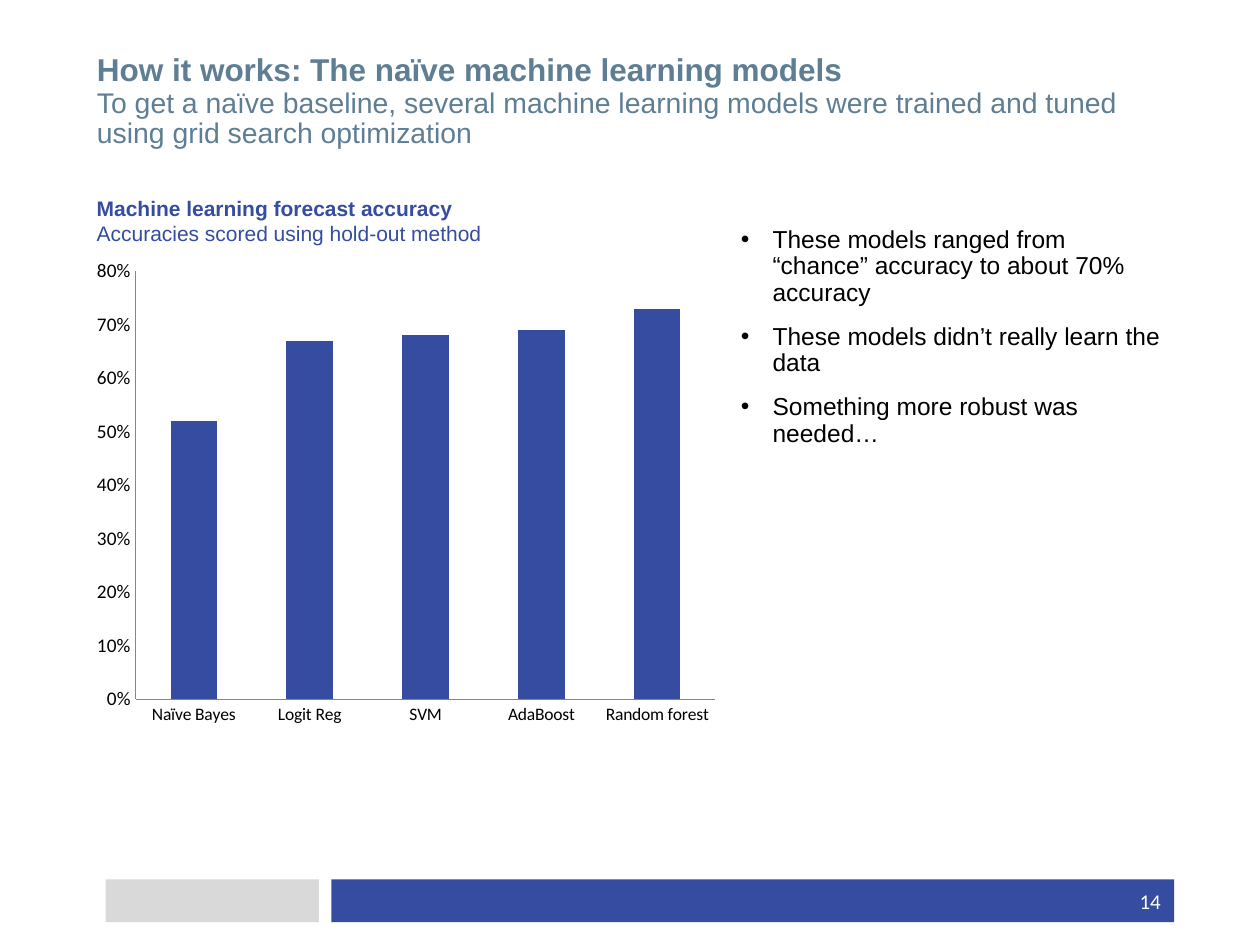
from lxml.etree import SubElement
from pptx import Presentation
from pptx.chart.data import CategoryChartData
from pptx.dml.color import RGBColor
from pptx.enum.chart import XL_CHART_TYPE, XL_TICK_MARK
from pptx.enum.shapes import MSO_SHAPE
from pptx.enum.text import MSO_ANCHOR, MSO_AUTO_SIZE, PP_ALIGN
from pptx.oxml import parse_xml
from pptx.oxml.ns import nsdecls, qn
from pptx.util import Cm, Pt

BLUE = RGBColor(0x35, 0x4C, 0xA1)
SLATE = RGBColor(0x5E, 0x7E, 0x94)
PALE_GREY = RGBColor(0xD9, 0xD9, 0xD9)
GREY = RGBColor(0x86, 0x86, 0x86)
BLACK = RGBColor(0x00, 0x00, 0x00)
WHITE = RGBColor(0xFF, 0xFF, 0xFF)

ACCURACIES = {
    "Naïve Bayes": 0.52,
    "Logit Reg": 0.67,
    "SVM": 0.68,
    "AdaBoost": 0.69,
    "Random forest": 0.73,
}
FINDINGS = [
    "These models ranged from “chance” accuracy to about 70% accuracy",
    "These models didn’t really learn the data",
    "Something more robust was needed…",
]


def set_values(target, values):
    for name, value in values.items():
        setattr(target, name, value)


def format_font(font, color, size, name="Arial", bold=False):
    set_values(font, {"size": Pt(size), "name": name, "bold": bold})
    font.color.rgb = color


def add_run(paragraph, text, color, size, **font_values):
    run = paragraph.add_run()
    run.text = text
    format_font(run.font, color, size, **font_values)


def place(shape, left, top, width, height):
    set_values(shape, {"left": Cm(left), "top": Cm(top),
                       "width": Cm(width), "height": Cm(height)})


def add_text_box(slide, left, top, width, height, anchor=MSO_ANCHOR.TOP):
    box = slide.shapes.add_textbox(Cm(left), Cm(top), Cm(width), Cm(height))
    set_values(box.text_frame, {"word_wrap": True, "vertical_anchor": anchor})
    return box.text_frame


def add_rectangle(slide, left, top, width, height, color):
    rectangle = slide.shapes.add_shape(
        MSO_SHAPE.RECTANGLE, Cm(left), Cm(top), Cm(width), Cm(height))
    rectangle.shadow.inherit = False
    rectangle.fill.solid()
    rectangle.fill.fore_color.rgb = color
    rectangle.line.fill.background()


def add_footer(slide):
    add_rectangle(slide, 2.13, 17.73, 4.3, 0.86, PALE_GREY)
    add_rectangle(slide, 6.68, 17.73, 16.99, 0.86, BLUE)
    number = add_text_box(
        slide, 17.93, 17.65, 5.72, 1.02, MSO_ANCHOR.MIDDLE).paragraphs[0]
    number.alignment = PP_ALIGN.RIGHT
    add_run(number, "14", WHITE, 12, name="Calibri")


def fill_title(title):
    place(title, 1.7, 0.91, 21.97, 2.24)
    set_values(title.text_frame, {"vertical_anchor": MSO_ANCHOR.BOTTOM,
                                  "auto_size": MSO_AUTO_SIZE.NONE})
    paragraph = title.text_frame.paragraphs[0]
    set_values(paragraph, {"alignment": PP_ALIGN.LEFT, "line_spacing": 0.9})
    add_run(paragraph, "How it works: The naïve machine learning models",
            SLATE, 18, bold=True)
    paragraph.add_line_break()
    add_run(paragraph, "To get a naïve baseline, several machine learning models "
            "were trained and tuned using grid search optimization", SLATE, 16.2)


def fill_list(body, items):
    place(body, 14.68, 4.45, 8.97, 12.7)
    frame = body.text_frame
    frame.auto_size = MSO_AUTO_SIZE.NONE
    for index, item in enumerate(items):
        paragraph = frame.add_paragraph() if index else frame.paragraphs[0]
        properties = paragraph._p.get_or_add_pPr()
        properties.set("marL", str(Cm(0.64)))
        properties.set("indent", str(-Cm(0.64)))
        SubElement(properties, qn("a:buFont")).set("typeface", "Arial")
        SubElement(properties, qn("a:buChar")).set("char", "•")
        set_values(paragraph, {"line_spacing": 0.9,
                               "space_before": Pt(10 if index else 0)})
        add_run(paragraph, item, BLACK, 14)


def add_chart_heading(slide):
    frame = add_text_box(slide, 1.7, 3.81, 12.45, 1.27)
    add_run(frame.paragraphs[0], "Machine learning forecast accuracy",
            BLUE, 12, bold=True)
    add_run(frame.add_paragraph(), "Accuracies scored using hold-out method",
            BLUE, 12)


def format_axis(axis, size):
    set_values(axis, {"major_tick_mark": XL_TICK_MARK.NONE,
                      "minor_tick_mark": XL_TICK_MARK.NONE,
                      "has_major_gridlines": False})
    format_font(axis.tick_labels.font, BLACK, size, name="Calibri")
    axis.format.line.color.rgb = GREY
    axis.format.line.width = Pt(0.75)


def set_plot_area(chart, left, top, width, height):
    plot_area = chart._chartSpace.chart.plotArea
    for layout in plot_area.findall(qn("c:layout")):
        plot_area.remove(layout)
    plot_area.insert(0, parse_xml(
        f'<c:layout {nsdecls("c")}><c:manualLayout>'
        '<c:layoutTarget val="inner"/><c:xMode val="edge"/><c:yMode val="edge"/>'
        f'<c:x val="{left}"/><c:y val="{top}"/>'
        f'<c:w val="{width}"/><c:h val="{height}"/>'
        '</c:manualLayout></c:layout>'))


def add_accuracy_chart(slide):
    data = CategoryChartData(number_format="0%")
    data.categories = list(ACCURACIES)
    data.add_series("Series 1", list(ACCURACIES.values()))
    chart = slide.shapes.add_chart(
        XL_CHART_TYPE.COLUMN_CLUSTERED,
        Cm(1.7), Cm(5.08), Cm(12.98), Cm(9.7), data).chart
    set_values(chart, {"has_legend": False, "has_title": False})
    format_font(chart.font, BLACK, 18, name="Calibri")
    set_plot_area(chart, 0.08, 0.04, 0.9, 0.89)

    plot = chart.plots[0]
    set_values(plot, {"gap_width": 150, "vary_by_categories": False})
    fill = plot.series[0].format.fill
    fill.solid()
    fill.fore_color.rgb = BLUE

    format_axis(chart.category_axis, 10)
    format_axis(chart.value_axis, 11)
    set_values(chart.value_axis, {"minimum_scale": 0, "maximum_scale": 0.8,
                                  "major_unit": 0.1})
    set_values(chart.value_axis.tick_labels, {"number_format": "0%",
                                              "number_format_is_linked": False})


def main():
    presentation = Presentation()
    set_values(presentation, {"slide_width": Cm(25.4), "slide_height": Cm(19.05)})
    slide = presentation.slides.add_slide(presentation.slide_layouts[1])
    add_footer(slide)
    fill_title(slide.shapes.title)
    fill_list(slide.placeholders[1], FINDINGS)
    add_accuracy_chart(slide)
    add_chart_heading(slide)
    presentation.save("out.pptx")


if __name__ == "__main__":
    main()
